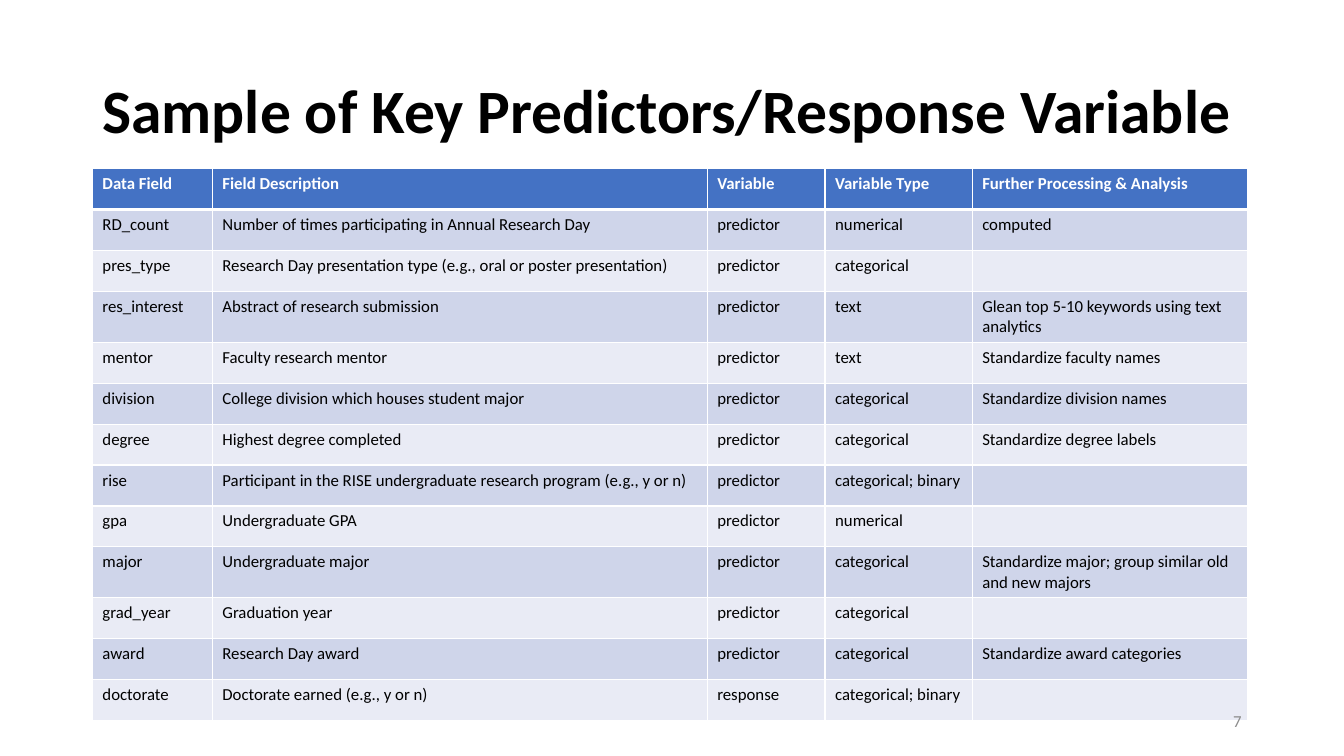
from dataclasses import dataclass

from lxml.etree import SubElement
from pptx import Presentation
from pptx.dml.color import RGBColor
from pptx.enum.text import MSO_ANCHOR, MSO_AUTO_SIZE, PP_ALIGN
from pptx.oxml.ns import qn
from pptx.util import Pt

# Content
TITLE = "Sample of Key Predictors/Response Variable"
SLIDE_NUMBER = "7"
HEADER = ("Data Field", "Field Description", "Variable", "Variable Type",
          "Further Processing & Analysis")
FIELDS = [
    ("RD_count", "Number of times participating in Annual Research Day",
     "predictor", "numerical", "computed"),
    ("pres_type", "Research Day presentation type (e.g., oral or poster presentation)",
     "predictor", "categorical", ""),
    ("res_interest", "Abstract of research submission",
     "predictor", "text", "Glean top 5-10 keywords using text analytics"),
    ("mentor", "Faculty research mentor",
     "predictor", "text", "Standardize faculty names"),
    ("division", "College division which houses student major",
     "predictor", "categorical", "Standardize division names"),
    ("degree", "Highest degree completed",
     "predictor", "categorical", "Standardize degree labels"),
    ("rise", "Participant in the RISE undergraduate research program (e.g., y or n)",
     "predictor", "categorical; binary", ""),
    ("gpa", "Undergraduate GPA", "predictor", "numerical", ""),
    ("major", "Undergraduate major",
     "predictor", "categorical", "Standardize major; group similar old and new majors"),
    ("grad_year", "Graduation year", "predictor", "categorical", ""),
    ("award", "Research Day award",
     "predictor", "categorical", "Standardize award categories"),
    ("doctorate", "Doctorate earned (e.g., y or n)",
     "response", "categorical; binary", ""),
]


@dataclass(frozen=True)
class Theme:
    font: str = "Calibri"
    title_size: int = 44
    text_size: int = 12
    ink: str = "000000"
    white: str = "FFFFFF"
    grey: str = "8C8C8C"
    header: str = "4472C4"
    bands: tuple = ("CFD5EA", "E9EBF5")


THEME = Theme()

# Layout in points
SLIDE_W, SLIDE_H = 960, 540
LEFT = 66
TABLE_TOP = 120.5
COLUMN_WIDTHS = (85.7, 353.5, 84.2, 105.1, 196.6)
ROW_H = 29.2


def add_run(p, text, size, color, bold=False):
    r = p.add_run()
    r.text = text
    r.font.name = THEME.font
    r.font.size = Pt(size)
    r.font.bold = bold
    r.font.color.rgb = RGBColor.from_string(color)


def set_borders(cell, bottom):
    """Rule the cell in white; borders must come before the fill."""
    tc_pr = cell._tc.get_or_add_tcPr()
    for side, width in (("L", 1), ("R", 1), ("T", 1), ("B", bottom)):
        line = SubElement(tc_pr, qn(f"a:ln{side}"), w=str(Pt(width)))
        fill = SubElement(line, qn("a:solidFill"))
        SubElement(fill, qn("a:srgbClr"), val=THEME.white)


prs = Presentation()
prs.slide_width, prs.slide_height = Pt(SLIDE_W), Pt(SLIDE_H)
s = prs.slides.add_slide(prs.slide_layouts[5])

# Title
title = s.shapes.title
title.left, title.top = Pt(LEFT), Pt(28.8)
title.width, title.height = Pt(SLIDE_W - 2 * LEFT), Pt(104.4)
tf = title.text_frame
tf.auto_size = MSO_AUTO_SIZE.NONE
tf.vertical_anchor = MSO_ANCHOR.MIDDLE
p = tf.paragraphs[0]
p.alignment = PP_ALIGN.LEFT
p.line_spacing = 0.9
add_run(p, TITLE, THEME.title_size, THEME.ink, bold=True)

# Table of data fields
rows = [HEADER, *FIELDS]
table = s.shapes.add_table(len(rows), len(HEADER), Pt(LEFT), Pt(TABLE_TOP),
                           Pt(sum(COLUMN_WIDTHS)), Pt(ROW_H * len(rows))).table
for column, width in zip(table.columns, COLUMN_WIDTHS):
    column.width = Pt(width)

for i, row in enumerate(rows):
    is_header = i == 0
    fill = THEME.header if is_header else THEME.bands[(i - 1) % 2]
    color = THEME.white if is_header else THEME.ink
    table.rows[i].height = Pt(ROW_H)
    for j, text in enumerate(row):
        cell = table.cell(i, j)
        set_borders(cell, bottom=3 if is_header else 1)
        cell.fill.solid()
        cell.fill.fore_color.rgb = RGBColor.from_string(fill)
        if text:
            add_run(cell.text_frame.paragraphs[0], text, THEME.text_size,
                    color, bold=is_header)

# Slide number
number = s.shapes.add_textbox(Pt(678), Pt(500.5), Pt(216), Pt(28.75))
tf = number.text_frame
tf.word_wrap = True
tf.vertical_anchor = MSO_ANCHOR.MIDDLE
p = tf.paragraphs[0]
p.alignment = PP_ALIGN.RIGHT
add_run(p, SLIDE_NUMBER, THEME.text_size, THEME.grey)

prs.save("out.pptx")
